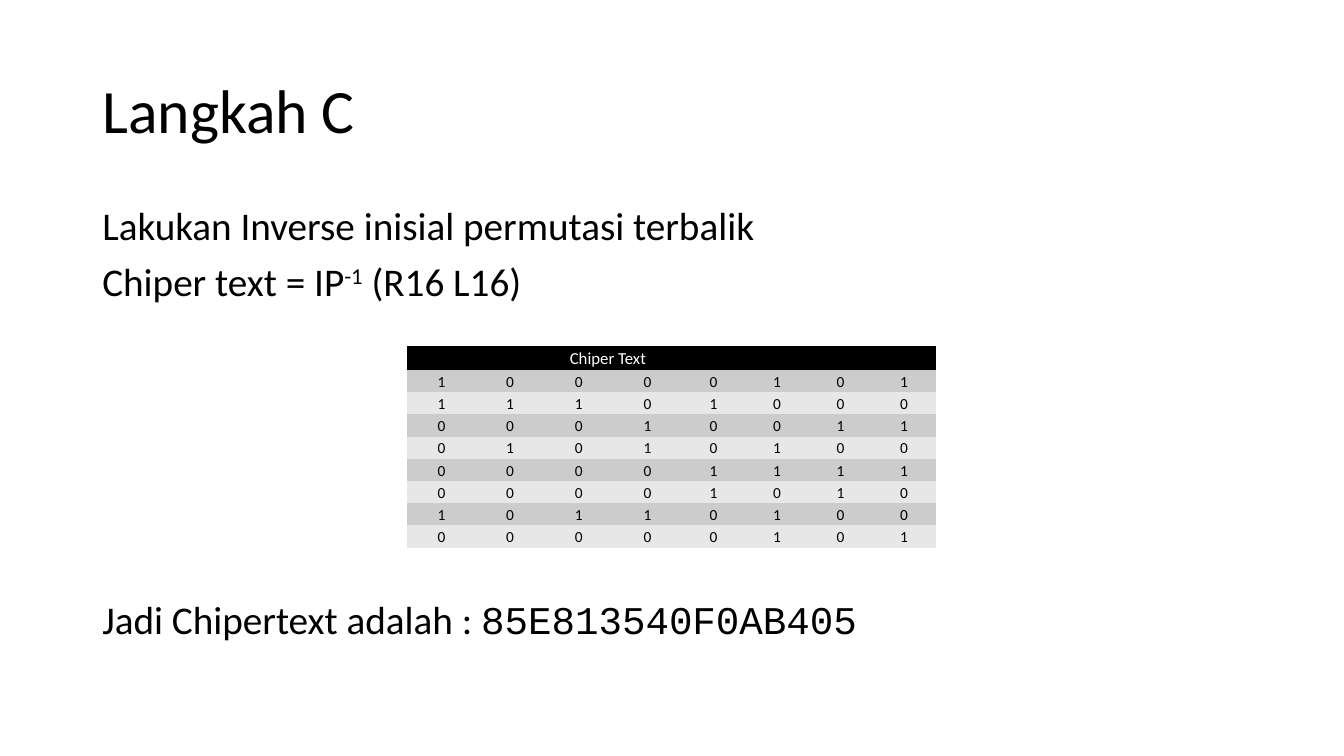
from dataclasses import dataclass

from lxml.etree import SubElement
from pptx import Presentation
from pptx.dml.color import RGBColor
from pptx.enum.text import MSO_ANCHOR, MSO_AUTO_SIZE, PP_ALIGN
from pptx.oxml.ns import qn
from pptx.slide import Slide
from pptx.table import _Cell
from pptx.text.text import _Paragraph
from pptx.util import Cm, Pt


@dataclass(frozen=True)
class Theme:
    """Fonts, colours and type sizes of the slide."""
    font: str = "Calibri"
    code_font: str = "Courier New"
    ink: str = "000000"
    header_ink: str = "FFFFFF"
    header_fill: str = "000000"
    bands: tuple[str, str] = ("CCCCCC", "E7E7E7")
    title_size: float = 44
    body_size: float = 28
    header_size: float = 12
    bit_size: float = 11


@dataclass(frozen=True)
class Span:
    """A stretch of text in one style."""
    text: str
    size: float
    font: str
    color: str
    superscript: bool = False


@dataclass(frozen=True)
class Line:
    """A paragraph of the body with the space above it in points."""
    spans: tuple[Span, ...]
    space_before: float = 0


THEME = Theme()
NO_STYLE_NO_GRID = "{2D5ABB26-0587-4C30-8999-92F81FD0307C}"
LEFT, CONTENT_WIDTH = Cm(2.33), Cm(29.21)
BIT_ROWS = ("10000101", "11101000", "00010011", "01010100",
            "00001111", "00001010", "10110100", "00000101")
COLUMN_WIDTHS = [Cm(1.73)] * 4 + [Cm(1.6)] * 4
ROW_HEIGHTS = [Cm(0.61)] + [Cm(0.56)] * len(BIT_ROWS)
HEADER_SPAN = 6


def body_span(text: str, font: str = THEME.font, superscript: bool = False) -> Span:
    """Return a span in the body style."""
    return Span(text, THEME.body_size, font, THEME.ink, superscript)


BODY_LINES = (
    Line((body_span("Lakukan Inverse inisial permutasi terbalik"),)),
    Line((body_span("Chiper text = IP"), body_span("-1", superscript=True),
          body_span(" (R16 L16)")), 10),
    Line((body_span("Jadi Chipertext adalah : "),
          body_span("85E813540F0AB405", THEME.code_font)), 211),
)


def add_span(paragraph: _Paragraph, span: Span) -> None:
    """Append one styled run to a paragraph."""
    run = paragraph.add_run()
    run.text = span.text
    run.font.name = span.font
    run.font.size = Pt(span.size)
    run.font.color.rgb = RGBColor.from_string(span.color)
    if span.superscript:
        run.font._element.set("baseline", "30000")


def add_title(slide: Slide) -> None:
    """Place and fill the title placeholder."""
    title = slide.shapes.title
    title.left, title.top, title.width, title.height = LEFT, Cm(1.01), CONTENT_WIDTH, Cm(3.68)
    frame = title.text_frame
    frame.auto_size = MSO_AUTO_SIZE.NONE
    frame.vertical_anchor = MSO_ANCHOR.MIDDLE
    paragraph = frame.paragraphs[0]
    paragraph.alignment = PP_ALIGN.LEFT
    paragraph.line_spacing = 0.9
    add_span(paragraph, Span("Langkah C", THEME.title_size, THEME.font, THEME.ink))


def add_body(slide: Slide) -> None:
    """Write the lines above and below the table."""
    frame = slide.shapes.add_textbox(LEFT, Cm(5.07), CONTENT_WIDTH, Cm(12.09)).text_frame
    frame.word_wrap = True
    for index, line in enumerate(BODY_LINES):
        paragraph = frame.add_paragraph() if index else frame.paragraphs[0]
        paragraph.line_spacing = 0.9
        paragraph.space_before = Pt(line.space_before)
        for span in line.spans:
            add_span(paragraph, span)


def format_cell(cell: _Cell, fill: str, span: Span) -> None:
    """Fill a cell and centre its text, if it has any."""
    cell.fill.solid()
    cell.fill.fore_color.rgb = RGBColor.from_string(fill)
    cell.vertical_anchor = MSO_ANCHOR.MIDDLE
    cell.margin_left = cell.margin_right = cell.margin_top = cell.margin_bottom = Cm(0.03)
    paragraph = cell.text_frame.paragraphs[0]
    paragraph.alignment = PP_ALIGN.CENTER
    paragraph.line_spacing = 1.07
    if span.text:
        add_span(paragraph, span)
    else:
        SubElement(paragraph._p, qn("a:endParaRPr")).set("sz", str(int(span.size * 100)))


def add_cipher_table(slide: Slide) -> None:
    """Draw the header and the eight rows of cipher bits."""
    table_frame = slide.shapes.add_table(
        len(ROW_HEIGHTS), len(COLUMN_WIDTHS), Cm(10.26), Cm(8.71),
        sum(COLUMN_WIDTHS), sum(ROW_HEIGHTS))
    table = table_frame.table
    table._tbl.tblPr.find(qn("a:tableStyleId")).text = NO_STYLE_NO_GRID
    for column, width in zip(table.columns, COLUMN_WIDTHS):
        column.width = width
    for row, height in zip(table.rows, ROW_HEIGHTS):
        row.height = height
    for column in range(len(COLUMN_WIDTHS)):
        heading = "" if column else "Chiper Text"
        format_cell(table.cell(0, column), THEME.header_fill,
                    Span(heading, THEME.header_size, THEME.font, THEME.header_ink))
    table.cell(0, 0).merge(table.cell(0, HEADER_SPAN - 1))
    for row, bits in enumerate(BIT_ROWS):
        for column, bit in enumerate(bits):
            format_cell(table.cell(row + 1, column), THEME.bands[row % 2],
                        Span(bit, THEME.bit_size, THEME.font, THEME.ink))


def main() -> None:
    """Build and save the slide."""
    presentation = Presentation()
    presentation.slide_width, presentation.slide_height = Cm(33.87), Cm(19.05)
    slide = presentation.slides.add_slide(presentation.slide_layouts[5])
    add_title(slide)
    add_body(slide)
    add_cipher_table(slide)
    presentation.save("out.pptx")


if __name__ == "__main__":
    main()
